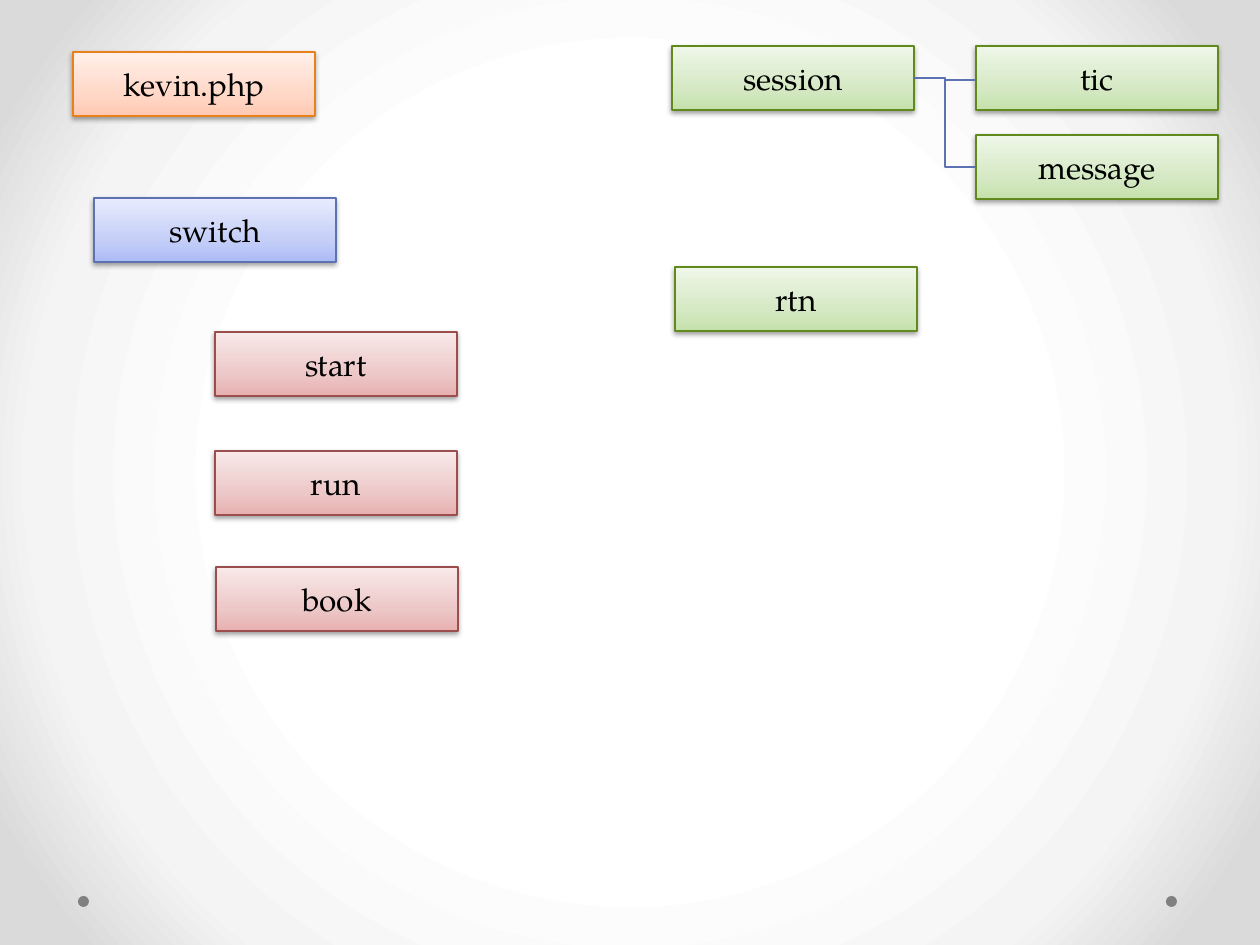
from dataclasses import dataclass

from lxml import etree
from pptx import Presentation
from pptx import util as u
from pptx.dml.color import RGBColor
from pptx.enum import shapes, text
from pptx.oxml.ns import qn

PX = 914400 / 126
BOX_W, BOX_H = 242, 64
DOT = 11
FONT = "TeX Gyre Pagella"
BLACK = RGBColor(0, 0, 0)
GREY = RGBColor(0x80, 0x80, 0x80)
BLUE = RGBColor(0x5C, 0x72, 0xB2)
BACK = ((50, RGBColor(0xFF, 0xFF, 0xFF)),
        (76, RGBColor(0xF4, 0xF4, 0xF4)),
        (92, RGBColor(0xDA, 0xDA, 0xDA)))


@dataclass(frozen=True)
class Style:
    low: RGBColor
    mid: RGBColor
    top: RGBColor
    edge: RGBColor

    @property
    def stops(self) -> tuple:
        return (0, self.low), (35, self.mid), (100, self.top)


@dataclass(frozen=True)
class Box:
    label: str
    x: int
    y: int
    style: Style


@dataclass(frozen=True)
class Link:
    x1: int
    y1: int
    x2: int
    y2: int


FILE = Style(RGBColor(0xFF, 0xC9, 0xB1), RGBColor(0xFF, 0xD8, 0xC8),
             RGBColor(0xFF, 0xF0, 0xEA), RGBColor(0xE6, 0x81, 0x1C))
DATA = Style(RGBColor(0xC5, 0xE1, 0xAB), RGBColor(0xD6, 0xE9, 0xC5),
             RGBColor(0xEF, 0xF7, 0xE9), RGBColor(0x62, 0x89, 0x1C))
FLOW = Style(RGBColor(0xAD, 0xBB, 0xF6), RGBColor(0xC5, 0xCF, 0xF8),
             RGBColor(0xE8, 0xEC, 0xFD), BLUE)
CASE = Style(RGBColor(0xE8, 0xB0, 0xB0), RGBColor(0xED, 0xC8, 0xC8),
             RGBColor(0xF9, 0xE9, 0xE9), RGBColor(0x9A, 0x4E, 0x4E))

BOXES = (
    Box("kevin.php", 73, 52, FILE),
    Box("session", 672, 46, DATA),
    Box("rtn", 675, 267, DATA),
    Box("switch", 94, 198, FLOW),
    Box("start", 215, 332, CASE),
    Box("run", 215, 451, CASE),
    Box("tic", 976, 46, DATA),
    Box("message", 976, 135, DATA),
    Box("book", 216, 567, CASE),
)
LINKS = Link(914, 78, 976, 80), Link(914, 78, 976, 167)
DOTS = (1166, 896), (78, 896)


def px(n: int) -> u.Emu:
    return u.Emu(round(n * PX))


def add(node, tag: str, **attrs):
    return etree.SubElement(node, qn(tag), {k: str(v) for k, v in attrs.items()})


def blend(root, stops: tuple):
    """Put the stops into the first gradient under root and return it."""
    grad = root.find(".//" + qn("a:gradFill"))
    grad.clear()
    grad.set("rotWithShape", "1")
    group = add(grad, "a:gsLst")
    for pos, color in stops:
        add(add(group, "a:gs", pos=pos * 1000), "a:srgbClr", val=color)
    return grad


def draw_back(slide) -> None:
    slide.background.fill.gradient()
    ring = add(blend(slide.element, BACK), "a:path", path="circle")
    add(ring, "a:fillToRect", l=50000, t=50000, r=50000, b=50000)


def draw_dot(slide, x: int, y: int) -> None:
    dot = slide.shapes.add_shape(shapes.MSO_SHAPE.OVAL, px(x), px(y), px(DOT), px(DOT))
    dot.shadow.inherit = False
    dot.fill.solid()
    dot.fill.fore_color.rgb = GREY
    dot.line.fill.background()


def cast(shape) -> None:
    """Give the shape a soft shadow straight below."""
    shape.shadow.inherit = False
    glow = add(shape.element.spPr.find(qn("a:effectLst")), "a:outerShdw",
               blurRad=u.Pt(3.1), dist=u.Pt(1.6), dir=5400000, rotWithShape=0)
    add(add(glow, "a:srgbClr", val=BLACK), "a:alpha", val=38000)


def draw_box(slide, box: Box) -> None:
    rect = slide.shapes.add_shape(shapes.MSO_SHAPE.RECTANGLE,
                                  px(box.x), px(box.y), px(BOX_W), px(BOX_H))
    rect.fill.gradient()
    add(blend(rect.element, box.style.stops), "a:lin", ang=16200000, scaled=0)
    rect.line.color.rgb = box.style.edge
    rect.line.width = u.Pt(0.75)
    cast(rect)
    frame = rect.text_frame
    frame.text = box.label
    frame.vertical_anchor = text.MSO_ANCHOR.MIDDLE
    para = frame.paragraphs[0]
    para.alignment = text.PP_ALIGN.CENTER
    font = para.runs[0].font
    font.name, font.size = FONT, u.Pt(18)
    font.color.rgb = BLACK


def draw_link(slide, link: Link) -> None:
    line = slide.shapes.add_connector(shapes.MSO_CONNECTOR.ELBOW, px(link.x1),
                                      px(link.y1), px(link.x2), px(link.y2))
    line.line.color.rgb = BLUE
    line.line.width = u.Pt(0.75)
    add(line.element.spPr, "a:effectLst")


def main() -> None:
    deck = Presentation()
    deck.slide_width, deck.slide_height = px(1260), px(945)
    slide = deck.slides.add_slide(deck.slide_layouts[6])
    draw_back(slide)
    for x, y in DOTS:
        draw_dot(slide, x, y)
    for box in BOXES:
        draw_box(slide, box)
    for link in LINKS:
        draw_link(slide, link)
    deck.save("out.pptx")


if __name__ == "__main__":
    main()
